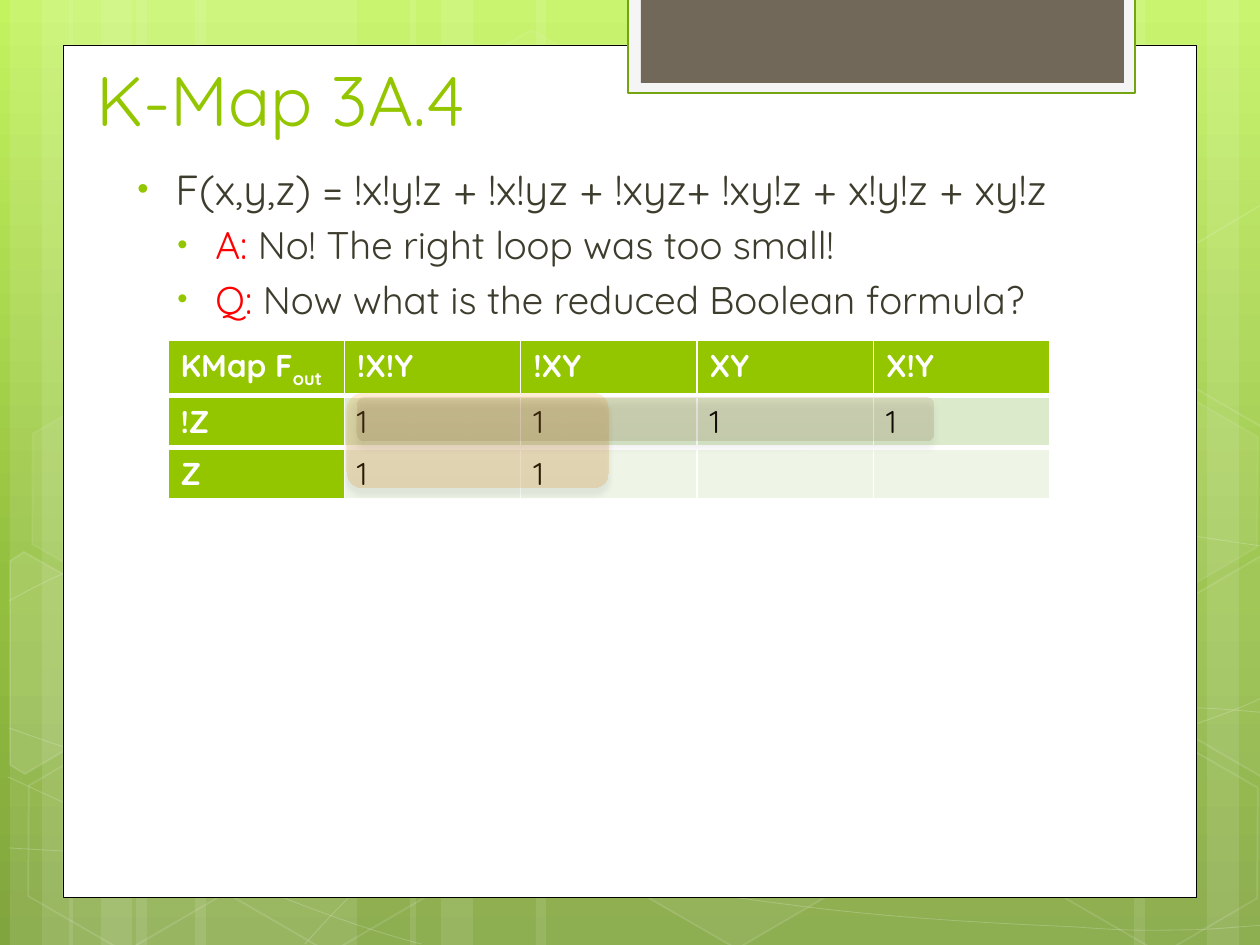
from lxml import etree
from pptx import Presentation
from pptx.dml.color import RGBColor
from pptx.enum.shapes import MSO_SHAPE
from pptx.enum.text import MSO_ANCHOR
from pptx.oxml import parse_xml
from pptx.oxml.ns import nsdecls, qn
from pptx.util import Pt

RECTANGLE, HEXAGON = MSO_SHAPE.RECTANGLE, MSO_SHAPE.HEXAGON
ROUNDED = MSO_SHAPE.ROUNDED_RECTANGLE
PX = 914400 // 126
WIDTH, HEIGHT = 1260, 945
FONT = "Quicksand"

WHITE = RGBColor(0xFF, 0xFF, 0xFF)
BLACK = RGBColor(0x00, 0x00, 0x00)
GREEN = RGBColor(0x94, 0xC6, 0x00)
DARK_GREEN = RGBColor(0x74, 0xA5, 0x10)
TEXT = RGBColor(0x3E, 0x3D, 0x2D)
RED = RGBColor(0xFF, 0x00, 0x00)
OFF_WHITE = RGBColor(0xF5, 0xF5, 0xF5)
BROWN = RGBColor(0x71, 0x68, 0x5A)
ROW_FILLS = [RGBColor(0xDC, 0xEA, 0xCC), RGBColor(0xEE, 0xF5, 0xE7)]

# Gradient stops: position %, colour, opacity %
BACKGROUND = [(0, "C3F35F", 100), (62, "93BF3F", 100), (100, "81A53E", 100)]

# Vertical light bands: left, width
BANDS = [(136, 221), (10, 63), (42, 105), (195, 221), (69, 63), (101, 105),
         (924, 221), (1207, 63), (1134, 105), (536, 388), (410, 63), (441, 105)]

# Bezier chains: a start point, then two control points and an end point each
CURVES = [
    [(9, 848), (77, 852), (145, 856), (239, 854), (334, 853), (451, 851), (577, 838),
     (703, 825), (882, 801), (998, 777), (1113, 753), (1231, 716), (1269, 694)],
    [(9, 601), (45, 581), (82, 562), (152, 543), (224, 524), (326, 496), (437, 488),
     (549, 479), (685, 478), (824, 488), (963, 498), (1193, 537), (1269, 547)],
    [(8, 777), (160, 847), (311, 916), (421, 944)],
    [(9, 728), (48, 742), (88, 756), (161, 776), (234, 795), (344, 827), (450, 848),
     (554, 869), (687, 892), (791, 905), (896, 919), (1008, 924), (1075, 927),
     (1140, 932), (1158, 930), (1191, 930), (1223, 929), (1246, 926), (1269, 925)],
    [(305, 944), (328, 919), (350, 893), (381, 871), (411, 848), (454, 823), (489, 805),
     (524, 788), (546, 779), (592, 767), (638, 755), (722, 737), (766, 728),
     (811, 719), (818, 719), (857, 717), (896, 713), (958, 709), (1000, 708),
     (1045, 707), (1116, 708), (1116, 708), (1144, 708), (1173, 708), (1201, 708),
     (1223, 709), (1245, 711), (1256, 712), (1268, 713), (1264, 712), (1268, 713)],
]

# Left, top, fill opacity %, line opacity %
HEXAGONS = [(421, 45, 4, 8), (626, 742, 6, 12), (14, 745, 0, 12), (18, 393, 7, 8),
            (219, 746, 0, 12), (949, 571, 10, 12), (1051, 747, 0, 12), (1051, 396, 7, 8)]

# Hexagons cut by the slide edge: corners, fill opacity %
CUT_HEXAGONS = [
    ([(10, 561), (24, 552), (121, 607), (120, 718), (25, 774), (10, 765)], 10),
    ([(1167, 611), (1261, 556), (1271, 562), (1271, 772), (1262, 777), (1167, 722)], 4),
    ([(1167, 261), (1261, 205), (1273, 212), (1271, 422), (1262, 427), (1167, 372)], 0),
]

# Box, fill, line colour, line width
PANELS = [((63, 45, 1134, 853), WHITE, BLACK, 0.5),
          ((628, -3, 507, 96), OFF_WHITE, DARK_GREEN, 1.25),
          ((641, -3, 483, 86), BROWN, None, 0)]

TITLE = "K-Map 3A.4"
# Indent px, size, runs
BULLETS = [
    (48, 24, [("F(x,y,z) = !x!y!z + !x!yz + !xyz+ !xy!z + x!y!z + xy!z", TEXT)]),
    (88, 22, [("A: ", RED), ("No! The right loop was too small!", TEXT)]),
    (88, 22, [("Q:", RED), (" Now what is the reduced Boolean formula?", TEXT)]),
]
HANGING = 38

KMAP = [["KMap F", "!X!Y", "!XY", "XY", "X!Y"],
        ["!Z", "1", "1", "1", "1"],
        ["Z", "1", "1", "", ""]]
KMAP_SUBSCRIPT = "out"
KMAP_BOX = (168, 340, 882, 155)

LOOPS = [((347, 393, 262, 95), [(0, "FEA022", 19), (100, "DB820A", 19)]),
         ((357, 397, 577, 44), [(0, "956B43", 15), (100, "7D552F", 15)])]


def emu(*lengths):
    return [length * PX for length in lengths]


def set_opacity(fill, percent):
    colour = fill._xPr.find(qn("a:solidFill"))[0]
    etree.SubElement(colour, qn("a:alpha"), val=str(percent * 1000))


def set_gradient(parent, stops):
    """Put a top-to-bottom gradient in place of the solid fill of parent."""
    stop_xml = "".join(
        f'<a:gs pos="{position * 1000}"><a:srgbClr val="{colour}">'
        f'<a:alpha val="{opacity * 1000}"/></a:srgbClr></a:gs>'
        for position, colour, opacity in stops)
    gradient = parse_xml(f'<a:gradFill {nsdecls("a")} rotWithShape="1"><a:gsLst>{stop_xml}'
                         '</a:gsLst><a:lin ang="5400000" scaled="0"/></a:gradFill>')
    parent.replace(parent.find(qn("a:solidFill")), gradient)


def style(shape, fill=None, line=None, width=1, fill_opacity=100, line_opacity=100):
    shape.shadow.inherit = False
    for target, colour, opacity in ((shape.fill, fill, fill_opacity),
                                    (shape.line.fill, line, line_opacity)):
        if colour is None or opacity == 0:
            target.background()
            continue
        target.solid()
        target.fore_color.rgb = colour
        if opacity < 100:
            set_opacity(target, opacity)
    if line is not None:
        shape.line.width = Pt(width)


def add_outline(shapes, points, close):
    builder = shapes.build_freeform(*points[0], scale=PX)
    builder.add_line_segments(points[1:], close=close)
    return builder.convert_to_shape()


def add_curve(shapes, chain):
    """Draw an open outline, then join each three of its segments into a cubic Bezier."""
    curve = add_outline(shapes, chain, False)
    segments = list(curve._element.iter(qn("a:lnTo")))
    for start in range(0, len(segments), 3):
        first = segments[start]
        first.tag = qn("a:cubicBezTo")
        for segment in segments[start + 1:start + 3]:
            first.append(segment[0])
            segment.getparent().remove(segment)
    return curve


def set_font(font, size, colour, bold=False):
    font.name, font.size, font.bold = FONT, Pt(size), bold
    font.color.rgb = colour


def add_backdrop(slide):
    slide.background.fill.solid()
    set_gradient(slide.element.find(".//" + qn("p:bgPr")), BACKGROUND)
    shapes = slide.shapes
    for left, width in BANDS:
        style(shapes.add_shape(RECTANGLE, *emu(left, 0, width, HEIGHT)), WHITE, fill_opacity=10)
    for chain in CURVES:
        style(add_curve(shapes, chain), None, WHITE, 0.5, line_opacity=20)
    for left, top, fill_opacity, line_opacity in HEXAGONS:
        hexagon = shapes.add_shape(HEXAGON, *emu(left, top, 221, 192))
        hexagon.adjustments[0] = 0.285
        hexagon.rotation = 30
        style(hexagon, WHITE, WHITE, 1, fill_opacity, line_opacity)
    for corners, opacity in CUT_HEXAGONS:
        style(add_outline(shapes, corners, True), WHITE, WHITE, 1, opacity, 12)
    for box, fill, line, width in PANELS:
        style(shapes.add_shape(RECTANGLE, *emu(*box)), fill, line, width)


def add_text(slide):
    frame = slide.shapes.add_textbox(*emu(84, -10, 968, 157)).text_frame
    frame.word_wrap, frame.vertical_anchor = True, MSO_ANCHOR.BOTTOM
    frame.text = TITLE
    set_font(frame.paragraphs[0].font, 40, GREEN)

    frame = slide.shapes.add_textbox(*emu(115, 157, 1061, 484)).text_frame
    frame.word_wrap = True
    for index, (indent, size, runs) in enumerate(BULLETS):
        paragraph = frame.add_paragraph() if index else frame.paragraphs[0]
        paragraph.space_before = Pt(4.5 if index else 0)
        properties = paragraph._p.get_or_add_pPr()
        properties.set("marL", str(indent * PX))
        properties.set("indent", str(-HANGING * PX))
        colour = etree.SubElement(properties, qn("a:buClr"))
        etree.SubElement(colour, qn("a:srgbClr"), val=str(GREEN))
        etree.SubElement(properties, qn("a:buSzPct"), val="76000")
        etree.SubElement(properties, qn("a:buFont"), typeface="Arial")
        etree.SubElement(properties, qn("a:buChar"), char="•")
        for words, run_colour in runs:
            run = paragraph.add_run()
            run.text = words
            set_font(run.font, size, run_colour)


def add_kmap(slide):
    table = slide.shapes.add_table(len(KMAP), len(KMAP[0]), *emu(*KMAP_BOX)).table
    table.first_col = True
    for row, texts in enumerate(KMAP):
        for column, words in enumerate(texts):
            cell = table.cell(row, column)
            heading = row == 0 or column == 0
            cell.fill.solid()
            cell.fill.fore_color.rgb = GREEN if heading else ROW_FILLS[row - 1]
            if row < 2:
                edge = "lnT" if row else "lnB"
                cell._tc.tcPr.insert(0, parse_xml(
                    f'<a:{edge} {nsdecls("a")} w="38100"><a:solidFill><a:srgbClr val="{WHITE}"/>'
                    f'</a:solidFill></a:{edge}>'))
            if words:
                cell.text = words
                set_font(cell.text_frame.paragraphs[0].font, 18, WHITE if heading else BLACK, heading)
    subscript = table.cell(0, 0).text_frame.paragraphs[0].add_run()
    subscript.text = KMAP_SUBSCRIPT
    subscript.font._element.set("baseline", "-25000")

    for box, stops in LOOPS:
        loop = slide.shapes.add_shape(ROUNDED, *emu(*box))
        style(loop, WHITE)
        set_gradient(loop._element.spPr, stops)
        loop._element.spPr.find(qn("a:effectLst")).append(parse_xml(
            f'<a:outerShdw {nsdecls("a")} blurRad="44450" dist="50800" dir="5400000" rotWithShape="0">'
            '<a:srgbClr val="000000"><a:alpha val="34000"/></a:srgbClr></a:outerShdw>'))


def main():
    presentation = Presentation()
    presentation.slide_width, presentation.slide_height = emu(WIDTH, HEIGHT)
    slide = presentation.slides.add_slide(presentation.slide_layouts[6])
    add_backdrop(slide)
    add_text(slide)
    add_kmap(slide)
    presentation.save("out.pptx")


if __name__ == "__main__":
    main()
